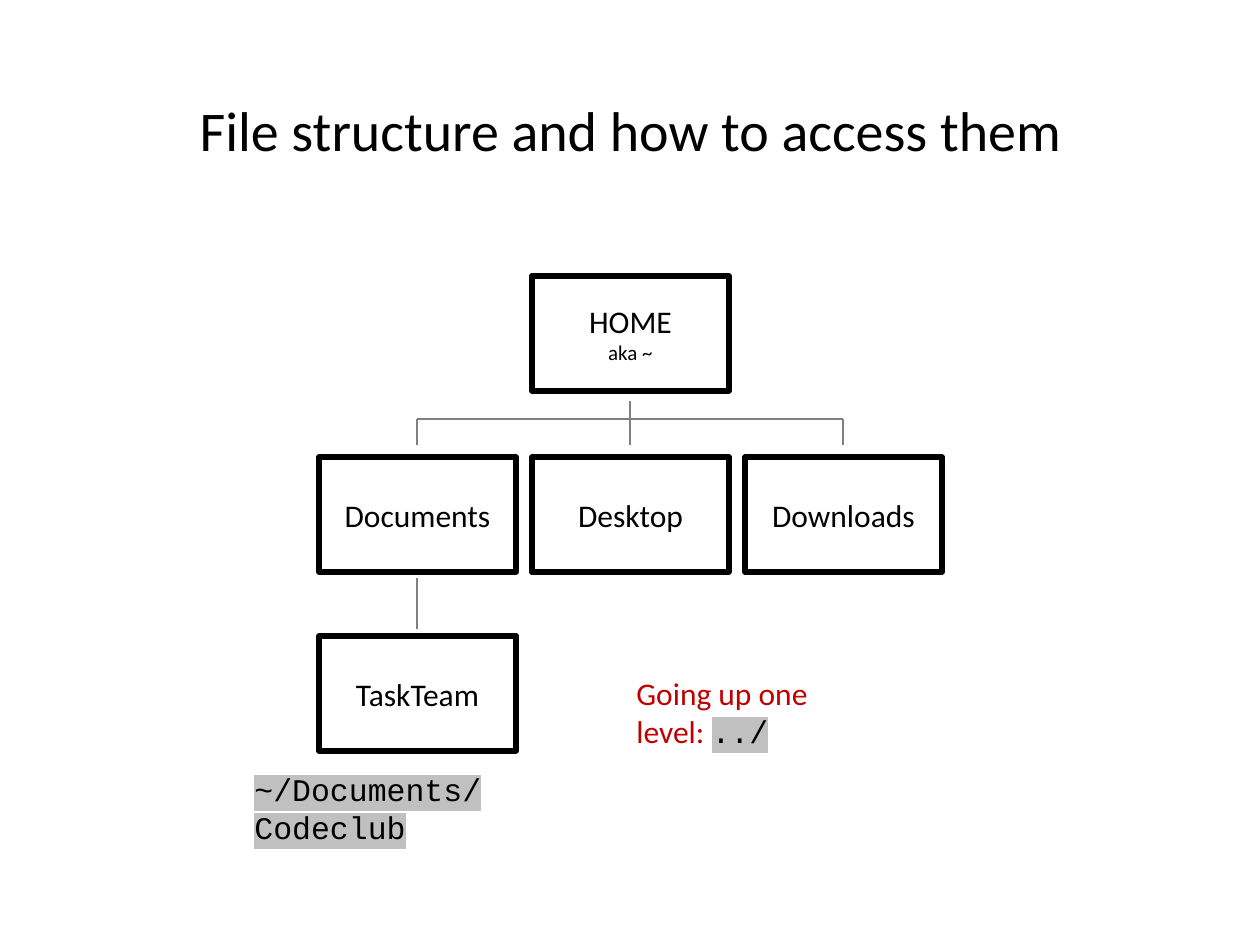
from lxml.etree import SubElement
from pptx import Presentation
from pptx.dml.color import RGBColor
from pptx.enum.shapes import MSO_CONNECTOR, MSO_SHAPE
from pptx.enum.text import MSO_ANCHOR, MSO_AUTO_SIZE, PP_ALIGN
from pptx.oxml.ns import qn
from pptx.util import Pt

EMU_PER_PX = 914400 / 126
BLACK, WHITE, GRAY, RED, SILVER = "000000", "FFFFFF", "808080", "C00000", "C0C0C0"
PLAIN = {"name": "Calibri", "size": Pt(18)}
SMALL = {"name": "Calibri", "size": Pt(12)}
HEADING = {"name": "Calibri", "size": Pt(32)}
CODE = {"name": "Courier New", "size": Pt(18)}
FOLDER_W, FOLDER_H = 197, 115
COLUMN_STEP = 213


def px(length):
    return round(length * EMU_PER_PX)


def rgb(color):
    return RGBColor.from_string(color)


def add_run(paragraph, text, style, color=BLACK, highlight=None):
    run = paragraph.add_run()
    run.text = text
    run.font.color.rgb = rgb(color)
    if highlight:
        marker = SubElement(run.font._element, qn("a:highlight"))
        SubElement(marker, qn("a:srgbClr"), val=highlight)
    for attribute, value in style.items():
        setattr(run.font, attribute, value)


def add_title(slide, left, top, width, height, text):
    title = slide.shapes.title
    box = {"left": left, "top": top, "width": width, "height": height}
    for attribute, value in box.items():
        setattr(title, attribute, px(value))
    frame = title.text_frame
    frame.auto_size = MSO_AUTO_SIZE.NONE
    frame.vertical_anchor = MSO_ANCHOR.TOP
    frame.paragraphs[0].alignment = PP_ALIGN.LEFT
    add_run(frame.paragraphs[0], text, HEADING)


def add_folder(slide, left, top, label, alias=None, fill=WHITE):
    folder = slide.shapes.add_shape(
        MSO_SHAPE.RECTANGLE, px(left), px(top), px(FOLDER_W), px(FOLDER_H))
    folder.shadow.inherit = False
    if fill:
        folder.fill.solid()
        folder.fill.fore_color.rgb = rgb(fill)
    else:
        folder.fill.background()
    folder.line.color.rgb = rgb(BLACK)
    folder.line.width = Pt(3)
    frame = folder.text_frame
    frame.vertical_anchor = MSO_ANCHOR.MIDDLE
    frame.paragraphs[0].alignment = PP_ALIGN.CENTER
    add_run(frame.paragraphs[0], label, PLAIN)
    if alias:
        second = frame.add_paragraph()
        second.alignment = PP_ALIGN.CENTER
        add_run(second, alias, SMALL)


def add_branch(slide, x1, y1, x2, y2):
    branch = slide.shapes.add_connector(
        MSO_CONNECTOR.STRAIGHT, px(x1), px(y1), px(x2), px(y2))
    branch.line.color.rgb = rgb(GRAY)
    branch.line.width = Pt(1)
    SubElement(branch._element.spPr, qn("a:effectLst"))


def add_folder_tree(slide, left, top):
    """Draw the three folder levels and the lines between them."""
    columns = [left + i * COLUMN_STEP for i in range(3)]
    centers = [column + FOLDER_W // 2 for column in columns]
    child_top, leaf_top = top + 181, top + 360
    add_folder(slide, columns[1], top, "HOME", "aka ~", fill=None)
    for column, label in zip(columns, ("Documents", "Desktop", "Downloads")):
        add_folder(slide, column, child_top, label)
    add_folder(slide, columns[0], leaf_top, "TaskTeam")

    rail, rail_end = top + 143, child_top - 12
    add_branch(slide, centers[0], rail, centers[2], rail)
    for center, start in zip(centers, (rail, top + 125, rail)):
        add_branch(slide, center, start, center, rail_end)
    add_branch(slide, centers[0], child_top + FOLDER_H + 6, centers[0], leaf_top - 7)


def add_note(slide, left, top, width, height, runs, margin_right=12):
    note = slide.shapes.add_textbox(px(left), px(top), px(width), px(height))
    frame = note.text_frame
    frame.word_wrap = True
    frame.margin_right = px(margin_right)
    for run in runs:
        add_run(frame.paragraphs[0], *run)


def main():
    deck = Presentation()
    deck.slide_width, deck.slide_height = px(1260), px(945)
    slide = deck.slides.add_slide(deck.slide_layouts[5])
    add_title(slide, 187, 89, 896, 81, "File structure and how to access them")
    add_folder_tree(slide, 319, 276)
    add_note(slide, 242, 764, 374, 50,
             [("~/Documents/Codeclub", CODE, BLACK, SILVER)])
    add_note(slide, 624, 668, 335, 50,
             [("Going up one level: ", PLAIN, RED),
              ("../", CODE, BLACK, SILVER)], margin_right=110)
    deck.save("out.pptx")


if __name__ == "__main__":
    main()
